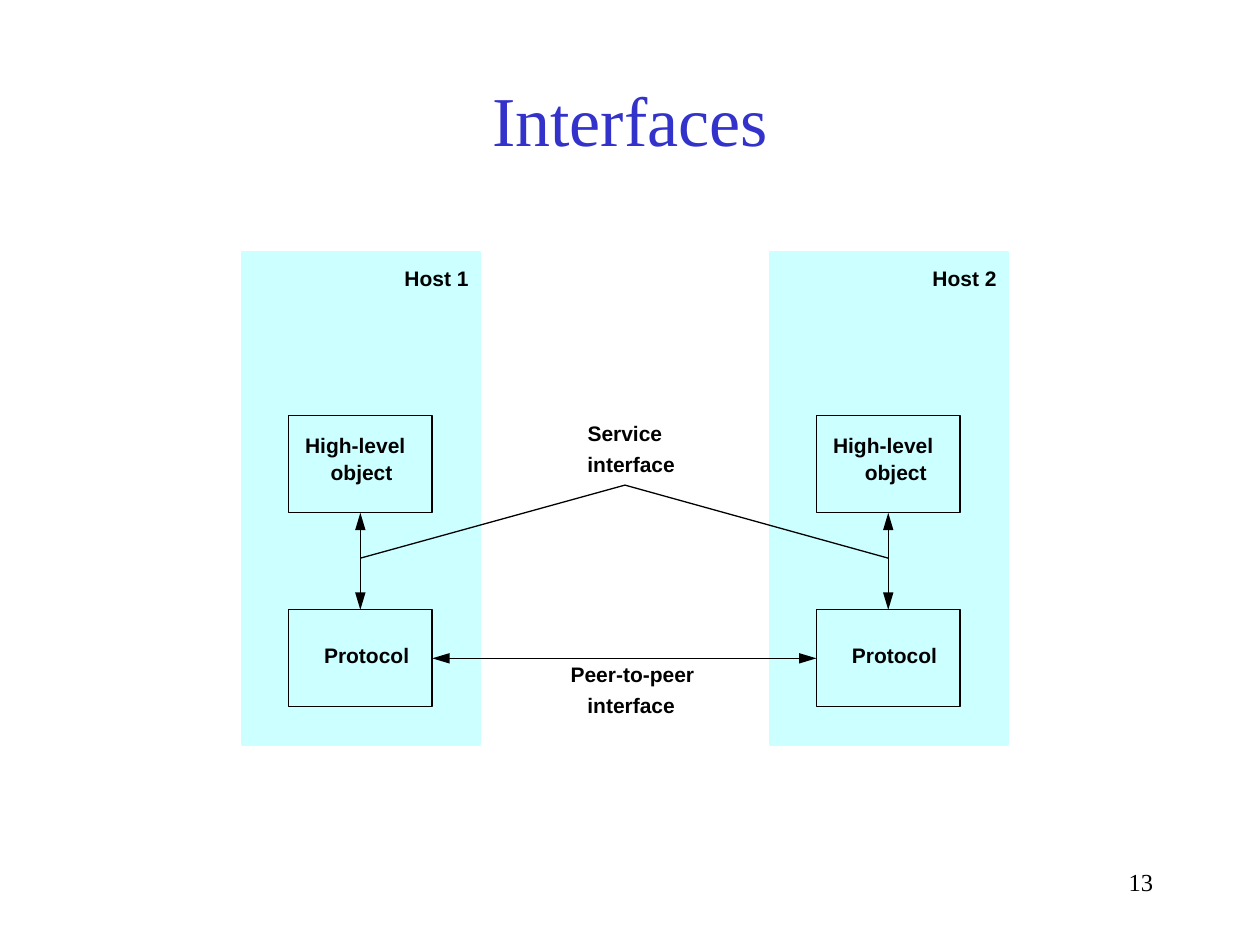
from lxml.etree import SubElement
from pptx import Presentation
from pptx.dml.color import RGBColor
from pptx.enum.shapes import MSO_CONNECTOR, MSO_SHAPE
from pptx.enum.text import MSO_ANCHOR, MSO_AUTO_SIZE, PP_ALIGN
from pptx.oxml.ns import qn
from pptx.util import Inches, Pt

BLACK = RGBColor(0x00, 0x00, 0x00)
BLUE = RGBColor(0x33, 0x33, 0xCC)
CYAN = RGBColor(0xCC, 0xFF, 0xFF)

TITLE = "Interfaces"
PAGE = "13"
# name, left edge, left edge of the word "object"
HOSTS = [("Host 1", 1.92, 2.62), ("Host 2", 6.11, 6.86)]
HOST_TOP, HOST_W, HOST_H = 2, 1.89, 3.91
BOX_DX, BOX_W, BOX_H = 0.37, 1.14, 0.77
OBJECT_TOP, PROTOCOL_TOP = 3.3, 4.84
# text, left, top, width
INTERFACE_LABELS = [
    ("Service", 4.66, 3.34, 0.6),
    ("interface", 4.66, 3.58, 0.7),
    ("Peer-to-peer", 4.5, 5.25, 1.04),
    ("interface", 4.66, 5.5, 0.7),
]
SERVICE_APEX = (4.96, 3.85)
SERVICE_Y = 4.43


def add_run(p, text, font, size, color, bold=False):
    r = p.add_run()
    r.text = text
    r.font.name, r.font.size, r.font.bold = font, Pt(size), bold
    r.font.color.rgb = color


def add_label(slide, text, left, top, width):
    tf = slide.shapes.add_textbox(
        Inches(left), Inches(top), Inches(width), Inches(0.2)).text_frame
    tf.margin_left = tf.margin_right = tf.margin_top = tf.margin_bottom = 0
    tf.word_wrap = False
    tf.auto_size = MSO_AUTO_SIZE.SHAPE_TO_FIT_TEXT
    p = tf.paragraphs[0]
    p.alignment = PP_ALIGN.CENTER
    add_run(p, text, "Arial", 12, BLACK, bold=True)


def add_rect(slide, left, top, width, height, line, weight, fill=None):
    sp = slide.shapes.add_shape(MSO_SHAPE.RECTANGLE, Inches(left), Inches(top),
                                Inches(width), Inches(height))
    sp.shadow.inherit = False
    if fill is None:
        sp.fill.background()
    else:
        sp.fill.solid()
        sp.fill.fore_color.rgb = fill
    sp.line.color.rgb, sp.line.width = line, Pt(weight)
    return sp


def add_double_arrow(slide, start, start_side, end, end_side):
    """Join two boxes with a line that has an arrowhead at each end."""
    c = slide.shapes.add_connector(MSO_CONNECTOR.STRAIGHT, 0, 0, 0, 0)
    c.begin_connect(start, start_side)
    c.end_connect(end, end_side)
    c.line.color.rgb, c.line.width = BLACK, Pt(0.75)
    ln = c.line._get_or_add_ln()
    for tag in ("a:headEnd", "a:tailEnd"):
        SubElement(ln, qn(tag), type="triangle", w="med", len="lg")
    SubElement(c._element.spPr, qn("a:effectLst"))


def add_host(slide, name, left, object_left):
    """Draw one host and return its protocol box."""
    add_rect(slide, left, HOST_TOP, HOST_W, HOST_H, CYAN, 1.5, CYAN)
    high, protocol = [
        add_rect(slide, left + BOX_DX, top, BOX_W, BOX_H, BLACK, 0.75)
        for top in (OBJECT_TOP, PROTOCOL_TOP)]
    add_double_arrow(slide, high, 2, protocol, 0)
    add_label(slide, name, left + 1.29, 2.11, 0.51)
    add_label(slide, "High-level", left + 0.5, 3.43, 0.8)
    add_label(slide, "object", object_left, 3.65, 0.5)
    add_label(slide, "Protocol", left + 0.65, 5.1, 0.68)
    return protocol


def add_service_line(slide):
    ends = [(left + BOX_DX + BOX_W / 2, SERVICE_Y) for _, left, _ in HOSTS]
    points = [(Inches(x), Inches(y)) for x, y in (ends[0], SERVICE_APEX, ends[1])]
    fb = slide.shapes.build_freeform(*points[0])
    fb.add_line_segments(points[1:], close=False)
    sp = fb.convert_to_shape()
    sp.shadow.inherit = False
    sp.fill.background()
    sp.line.color.rgb, sp.line.width = BLACK, Pt(0.75)


def main():
    prs = Presentation()
    prs.slide_width, prs.slide_height = Inches(10), Inches(7.5)
    slide = prs.slides.add_slide(prs.slide_layouts[5])

    title = slide.shapes.title
    title.left, title.top = Inches(0.75), Inches(0.67)
    title.width, title.height = Inches(8.5), Inches(1.25)
    tf = title.text_frame
    tf.auto_size = MSO_AUTO_SIZE.NONE
    tf.vertical_anchor, tf.margin_bottom = MSO_ANCHOR.MIDDLE, Inches(0.76)
    tf.margin_top = Inches(0.05)
    tf.paragraphs[0].alignment = PP_ALIGN.CENTER
    add_run(tf.paragraphs[0], TITLE, "Times New Roman", 40, BLUE)

    protocols = [add_host(slide, *host) for host in HOSTS]
    add_double_arrow(slide, protocols[0], 3, protocols[1], 1)
    add_service_line(slide)
    for label in INTERFACE_LABELS:
        add_label(slide, *label)

    tf = slide.shapes.add_textbox(
        Inches(7.17), Inches(6.83), Inches(2.08), Inches(0.5)).text_frame
    tf.word_wrap = True
    tf.paragraphs[0].alignment = PP_ALIGN.RIGHT
    add_run(tf.paragraphs[0], PAGE, "Times New Roman", 14, BLACK)

    prs.save("out.pptx")


if __name__ == "__main__":
    main()
